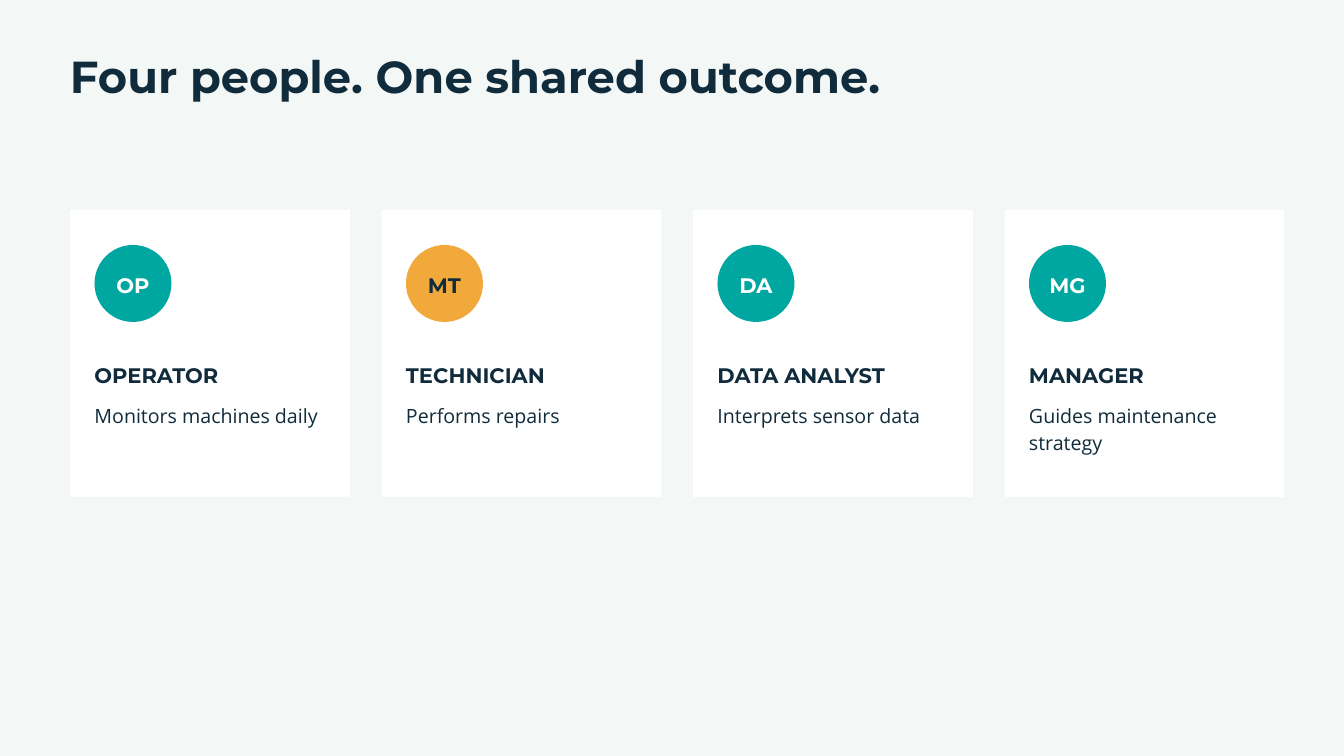
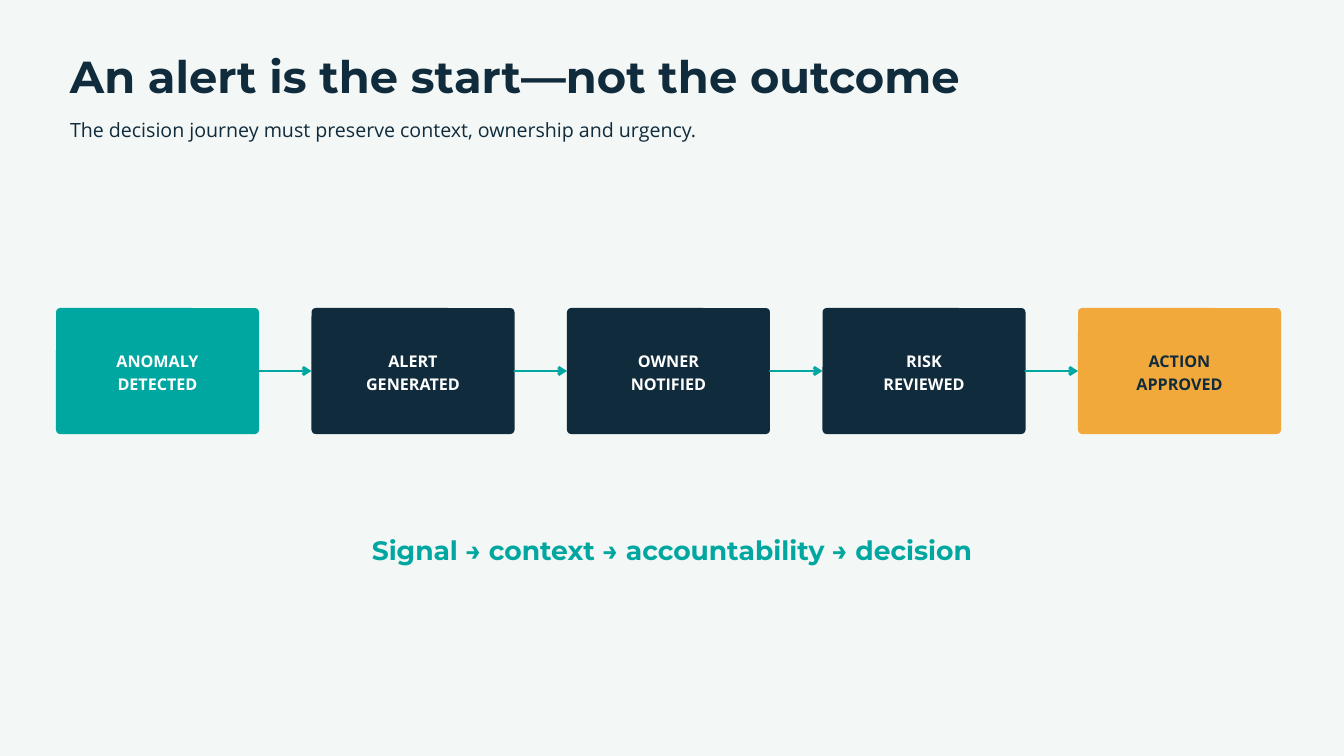
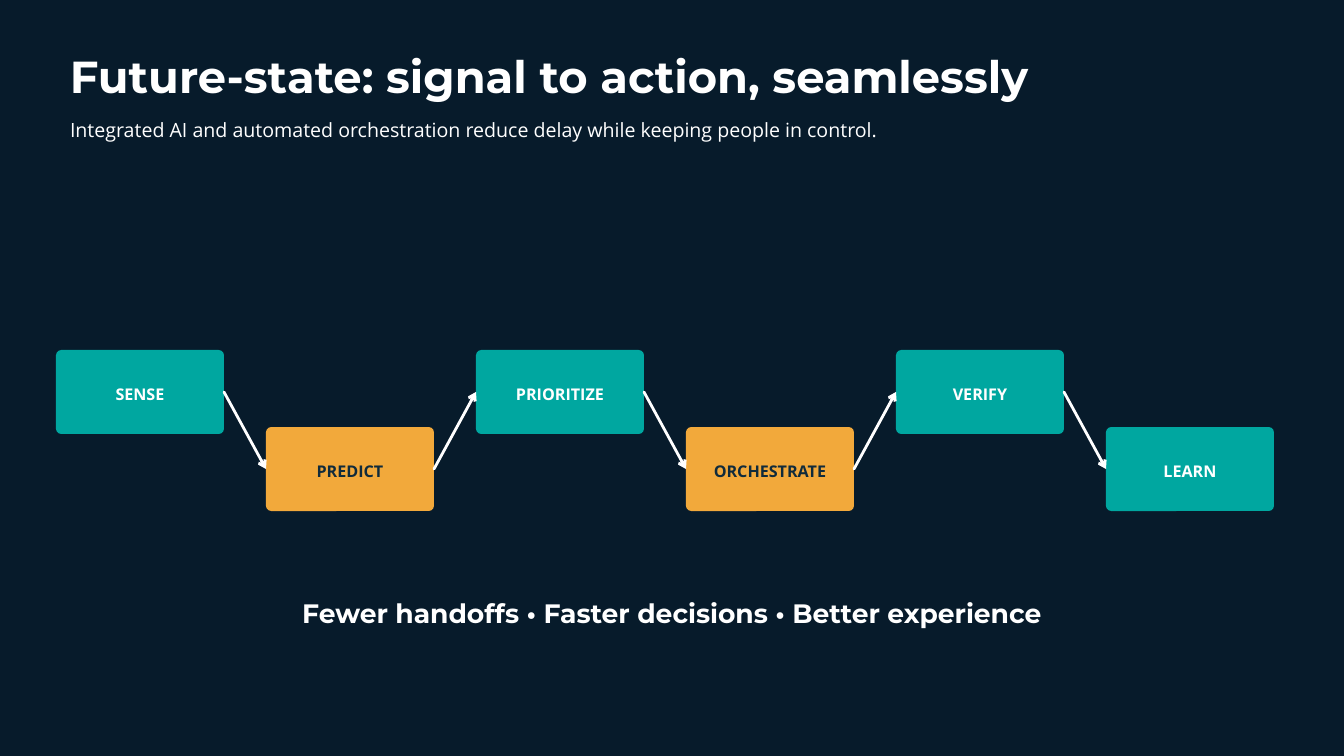
from itertools import pairwise
from lxml.etree import SubElement
from pptx import Presentation
from pptx.dml.color import RGBColor
from pptx.enum.shapes import MSO_CONNECTOR, MSO_SHAPE
from pptx.enum.text import MSO_ANCHOR, PP_ALIGN
from pptx.oxml.ns import qn
from pptx.util import Inches, Pt

NAVY = RGBColor(0x10, 0x2B, 0x3B)
NIGHT = RGBColor(0x07, 0x1B, 0x2B)
MIST = RGBColor(0xF3, 0xF7, 0xF6)
WHITE = RGBColor(0xFF, 0xFF, 0xFF)
TEAL = RGBColor(0x00, 0xA7, 0xA0)
AMBER = RGBColor(0xF2, 0xA9, 0x3B)
INK = {TEAL: WHITE, NAVY: WHITE, AMBER: NAVY}

COLS, ROWS = 1920, 1080
UNIT = Inches(20) / COLS

HEAD = {"name": "Montserrat", "size": Pt(48), "bold": True}
BODY = {"name": "Open Sans", "size": Pt(21), "bold": False}
LABEL = {"name": "Montserrat", "size": Pt(22.5), "bold": True}
STEP = {"name": "Open Sans", "size": Pt(17.25), "bold": True}
CLOSE = {"name": "Montserrat", "size": Pt(28.5), "bold": True}

TEAM = {
    "title": "Four people. One shared outcome.",
    "cards": [
        ("OP", "OPERATOR", "Monitors machines daily", TEAL),
        ("MT", "TECHNICIAN", "Performs repairs", AMBER),
        ("DA", "DATA ANALYST", "Interprets sensor data", TEAL),
        ("MG", "MANAGER", "Guides maintenance strategy", TEAL),
    ],
}
ALERT = {
    "title": "An alert is the start—not the outcome",
    "sub": "The decision journey must preserve context, ownership and urgency.",
    "steps": [
        (["ANOMALY", "DETECTED"], TEAL),
        (["ALERT", "GENERATED"], NAVY),
        (["OWNER", "NOTIFIED"], NAVY),
        (["RISK", "REVIEWED"], NAVY),
        (["ACTION", "APPROVED"], AMBER),
    ],
    "grid": {"top": 440, "wide": 290, "high": 180, "pitch": 365, "drop": 0, "curve": 6},
    "arrow": TEAL,
    "close": ("Signal → context → accountability → decision", 755, 1320, TEAL),
}
FUTURE = {
    "title": "Future-state: signal to action, seamlessly",
    "sub": "Integrated AI and automated orchestration reduce delay while keeping people in control.",
    "steps": [
        (["SENSE"], TEAL),
        (["PREDICT"], AMBER),
        (["PRIORITIZE"], TEAL),
        (["ORCHESTRATE"], AMBER),
        (["VERIFY"], TEAL),
        (["LEARN"], TEAL),
    ],
    "grid": {"top": 500, "wide": 240, "high": 120, "pitch": 300, "drop": 110, "curve": 7.5},
    "arrow": WHITE,
    "close": ("Fewer handoffs • Faster decisions • Better experience", 845, 1360, WHITE),
}


def span(*cells):
    return [round(cell * UNIT) for cell in cells]


def write(shape, lines, font, color, ratio=1.4, align=PP_ALIGN.LEFT, pad=0, anchor=MSO_ANCHOR.TOP):
    frame = shape.text_frame
    inset = round(pad * UNIT)
    look = {"word_wrap": True, "vertical_anchor": anchor}
    look |= {f"margin_{side}": inset for side in ("left", "top", "right", "bottom")}
    for key, value in look.items():
        setattr(frame, key, value)
    frame.text = "\n".join(lines)
    for para in frame.paragraphs:
        para.alignment = align
        para.line_spacing = Pt(font["size"].pt * ratio)
        for run in para.runs:
            for key, value in font.items():
                setattr(run.font, key, value)
            run.font.color.rgb = color


def label(slide, area, text, font, color, **look):
    write(slide.shapes.add_textbox(*span(*area)), [text], font, color, **look)


def block(slide, kind, area, fill, lines=(), font=None):
    shape = slide.shapes.add_shape(kind, *span(*area))
    shape.shadow.inherit = False
    shape.fill.solid()
    shape.fill.fore_color.rgb = fill
    shape.line.fill.background()
    if lines:
        write(shape, lines, font, INK[fill], align=PP_ALIGN.CENTER, pad=6, anchor=MSO_ANCHOR.MIDDLE)
    return shape


def arrow(slide, start, end, color):
    link = slide.shapes.add_connector(MSO_CONNECTOR.STRAIGHT, *span(*start, *end))
    link.line.width = Pt(3)
    link.line.color.rgb = color
    stroke = link.line._get_or_add_ln()
    stroke.set("cap", "rnd")
    SubElement(stroke, qn("a:tailEnd"), type="arrow")
    SubElement(link._element.spPr, qn("a:effectLst"))


def begin(deck, data, back, ink):
    slide = deck.slides.add_slide(deck.slide_layouts[6])
    slide.background.fill.solid()
    slide.background.fill.fore_color.rgb = back
    label(slide, (100, 77, 1500, 70), data["title"], HEAD, ink, ratio=1.08)
    if "sub" in data:
        label(slide, (100, 164, 1450, 36), data["sub"], BODY, ink, ratio=1.35)
    return slide


def team(deck, data):
    slide = begin(deck, data, MIST, NAVY)
    for col, (code, role, duty, color) in enumerate(data["cards"]):
        left = 100 + 445 * col
        inner = left + 35
        block(slide, MSO_SHAPE.RECTANGLE, (left, 300, 400, 410), WHITE)
        block(slide, MSO_SHAPE.OVAL, (inner, 350, 110, 110), color, [code], LABEL)
        label(slide, (inner, 512, 340, 39), role, LABEL, NAVY)
        label(slide, (inner, 573, 340, 36), duty, BODY, NAVY, ratio=1.35)


def flow(deck, data, back, ink):
    slide = begin(deck, data, back, ink)
    grid = data["grid"]
    wide, high = grid["wide"], grid["high"]
    spots = []
    for col, (lines, color) in enumerate(data["steps"]):
        left = 80 + grid["pitch"] * col
        top = grid["top"] + grid["drop"] * (col % 2)
        box = block(slide, MSO_SHAPE.ROUNDED_RECTANGLE, (left, top, wide, high), color, lines, STEP)
        box.adjustments[0] = grid["curve"] / high
        spots.append((left, top + high / 2))
    for (left, mid), goal in pairwise(spots):
        arrow(slide, (left + wide, mid), goal, data["arrow"])
    text, top, width, color = data["close"]
    label(slide, ((COLS - width) / 2, top, width, 51), text, CLOSE, color, align=PP_ALIGN.CENTER)


def main():
    deck = Presentation()
    deck.slide_width, deck.slide_height = span(COLS, ROWS)
    team(deck, TEAM)
    flow(deck, ALERT, MIST, NAVY)
    flow(deck, FUTURE, NIGHT, WHITE)
    deck.save("out.pptx")


if __name__ == "__main__":
    main()
